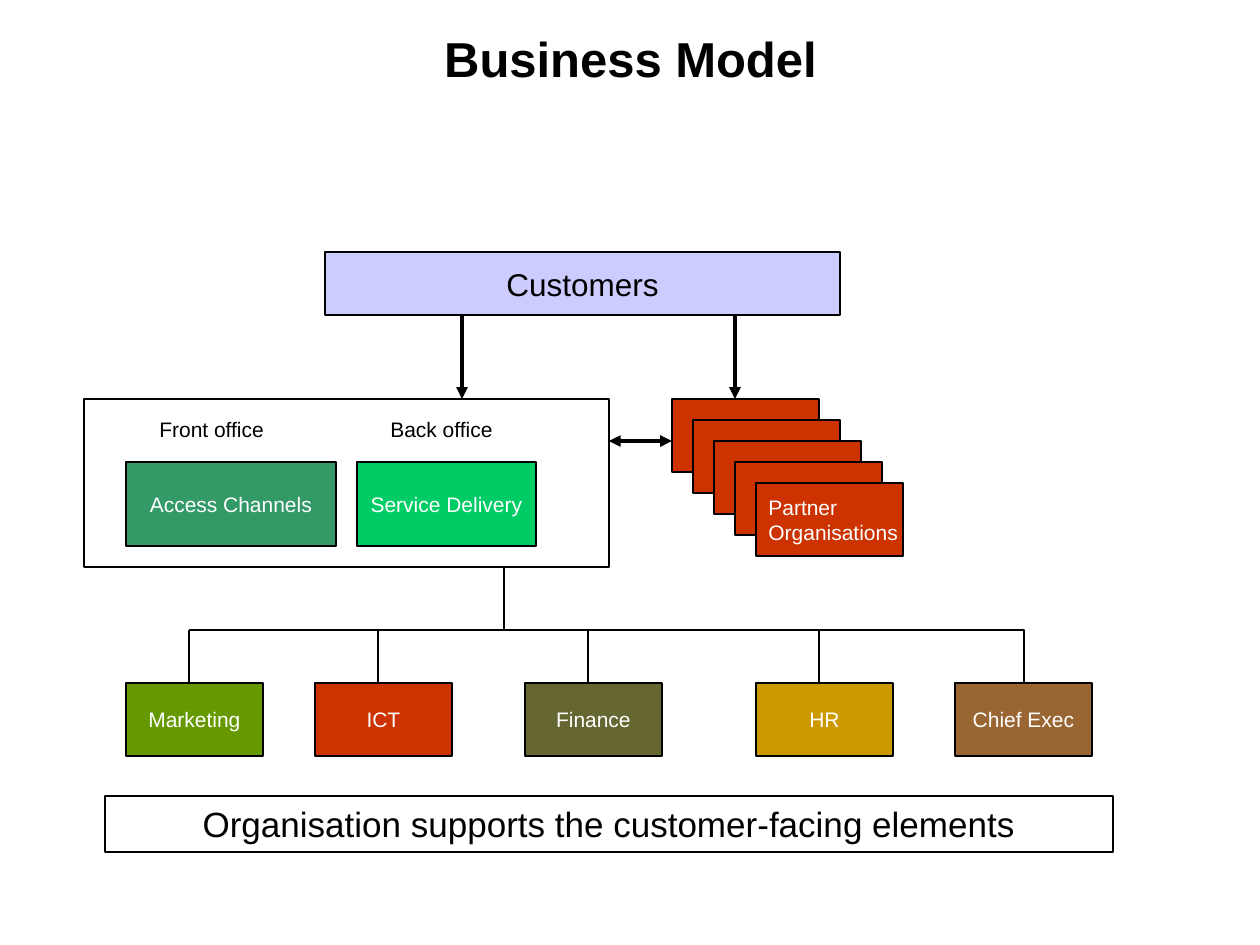
from dataclasses import dataclass
from typing import Optional

import pptx
import pptx.dml.color
import pptx.enum.shapes
import pptx.enum.text
import pptx.oxml
import pptx.oxml.ns
import pptx.util

RGB = pptx.dml.color.RGBColor
ALIGN = pptx.enum.text.PP_ALIGN
ANCHOR = pptx.enum.text.MSO_ANCHOR
CONNECTOR = pptx.enum.shapes.MSO_CONNECTOR

PX_PER_INCH = 126
FONT = "Arial"
BLACK = RGB(0x00, 0x00, 0x00)
WHITE = RGB(0xFF, 0xFF, 0xFF)
LAVENDER = RGB(0xCC, 0xCC, 0xFF)
SEA_GREEN = RGB(0x33, 0x99, 0x66)
BRIGHT_GREEN = RGB(0x00, 0xCC, 0x66)
OLIVE_GREEN = RGB(0x66, 0x99, 0x00)
RED = RGB(0xCC, 0x33, 0x00)
DARK_OLIVE = RGB(0x66, 0x66, 0x33)
GOLD = RGB(0xCC, 0x99, 0x00)
BROWN = RGB(0x99, 0x66, 0x33)


@dataclass(frozen=True)
class Box:
    left: int
    top: int
    width: int
    height: int
    fill: Optional[RGB] = None
    lines: tuple[str, ...] = ()
    size: int = 12
    color: RGB = WHITE
    align: ALIGN = ALIGN.CENTER
    anchor: ANCHOR = ANCHOR.MIDDLE
    wrap: bool = False
    bold: bool = False


@dataclass(frozen=True)
class Line:
    x1: int
    y1: int
    x2: int
    y2: int
    width: float = 0.75
    arrows: tuple[str, ...] = ()


def px(value: int) -> pptx.util.Emu:
    return pptx.util.Emu(round(value * 914400 / PX_PER_INCH))


def write_text(shape, box: Box) -> None:
    frame = shape.text_frame
    frame.word_wrap = box.wrap
    frame.vertical_anchor = box.anchor
    for index, line in enumerate(box.lines):
        paragraph = frame.add_paragraph() if index else frame.paragraphs[0]
        paragraph.alignment = box.align
        run = paragraph.add_run()
        run.text = line
        run.font.name = FONT
        run.font.size = pptx.util.Pt(box.size)
        run.font.bold = box.bold
        run.font.color.rgb = box.color


def draw_label(slide, box: Box) -> None:
    label = slide.shapes.add_textbox(px(box.left), px(box.top), px(box.width), px(box.height))
    write_text(label, box)


def draw_box(slide, box: Box) -> None:
    shape = slide.shapes.add_shape(
        pptx.enum.shapes.MSO_SHAPE.RECTANGLE,
        px(box.left), px(box.top), px(box.width), px(box.height))
    shape.shadow.inherit = False
    if box.fill is None:
        shape.fill.background()
    else:
        shape.fill.solid()
        shape.fill.fore_color.rgb = box.fill
    shape.line.color.rgb = BLACK
    shape.line.width = pptx.util.Pt(0.75)
    write_text(shape, box)


def draw_line(slide, line: Line, kind: CONNECTOR = CONNECTOR.STRAIGHT):
    connector = slide.shapes.add_connector(
        kind, px(line.x1), px(line.y1), px(line.x2), px(line.y2))
    connector.line.color.rgb = BLACK
    connector.line.width = pptx.util.Pt(line.width)
    properties = connector._element.spPr
    outline = properties.find(pptx.oxml.ns.qn("a:ln"))
    for end in line.arrows:
        arrow = pptx.oxml.parse_xml(
            f'<a:{end} {pptx.oxml.ns.nsdecls("a")} type="triangle"/>')
        outline.append(arrow)
    properties.append(
        pptx.oxml.parse_xml(f'<a:effectLst {pptx.oxml.ns.nsdecls("a")}/>'))
    return connector


def draw_elbow(slide, line: Line) -> None:
    """Run across first, then turn down at the far end."""
    connector = draw_line(slide, line, CONNECTOR.ELBOW)
    geometry = connector._element.spPr.find(pptx.oxml.ns.qn("a:prstGeom"))
    geometry.set("prst", "bentConnector2")


TITLE = Box(95, 0, 1071, 116, None, ("Business Model",), 28, BLACK, wrap=True, bold=True)
CUSTOMERS = Box(325, 252, 515, 63, LAVENDER, ("Customers",), 18, BLACK)
SUMMARY = Box(105, 796, 1008, 56, None,
              ("Organisation supports the customer-facing elements",), 20, BLACK,
              wrap=True)
OFFICES = [
    Box(126, 462, 210, 84, SEA_GREEN, ("Access Channels",)),
    Box(357, 462, 179, 84, BRIGHT_GREEN, ("Service Delivery",)),
    Box(84, 399, 525, 168),
]
OFFICE_LABELS = [(147, "Front office"), (378, "Back office")]
DEPARTMENTS = [
    (126, "Marketing", OLIVE_GREEN),
    (315, "ICT", RED),
    (525, "Finance", DARK_OLIVE),
    (756, "HR", GOLD),
    (955, "Chief Exec", BROWN),
]
DEPARTMENT_TOP = 683
BUS_Y = 630
BRANCHES = [189, 378, 588, 819]
PARTNER_COUNT = 5
PARTNER_STEP = 21
FLOWS = [
    Line(609, 441, 672, 441, 2.25, ("headEnd", "tailEnd")),
    Line(462, 315, 462, 399, 2.25, ("tailEnd",)),
    Line(735, 315, 735, 399, 2.25, ("tailEnd",)),
]


def main() -> None:
    deck = pptx.Presentation()
    deck.slide_width, deck.slide_height = px(1260), px(945)
    slide = deck.slides.add_slide(deck.slide_layouts[6])

    # Title
    draw_label(slide, TITLE)

    # Front and back office, each label wide enough for one line
    for office in OFFICES:
        draw_box(slide, office)
    for left, name in OFFICE_LABELS:
        draw_label(slide, Box(left, 410, 140, 38, None, (name,), 12, BLACK,
                              ALIGN.LEFT, ANCHOR.TOP, wrap=True))

    # Supporting departments
    for left, name, fill in DEPARTMENTS:
        draw_box(slide, Box(left, DEPARTMENT_TOP, 137, 73, fill, (name,)))

    # Department tree
    draw_line(slide, Line(BRANCHES[0], BUS_Y, BRANCHES[-1], BUS_Y))
    draw_line(slide, Line(504, 567, 504, BUS_Y))
    for x in BRANCHES:
        draw_line(slide, Line(x, BUS_Y, x, DEPARTMENT_TOP))
    draw_elbow(slide, Line(BRANCHES[-1], BUS_Y, 1024, DEPARTMENT_TOP))

    # Summary, customers and flows
    draw_box(slide, SUMMARY)
    draw_box(slide, CUSTOMERS)
    for flow in FLOWS:
        draw_line(slide, flow)

    # Partner stack, with the text on the front card
    for index in range(PARTNER_COUNT):
        is_front = index == PARTNER_COUNT - 1
        lines = ("Partner", "Organisations") if is_front else ()
        offset = index * PARTNER_STEP
        draw_box(slide, Box(672 + offset, 399 + offset, 147, 73, RED, lines, align=ALIGN.LEFT))

    deck.save("out.pptx")


if __name__ == "__main__":
    main()
